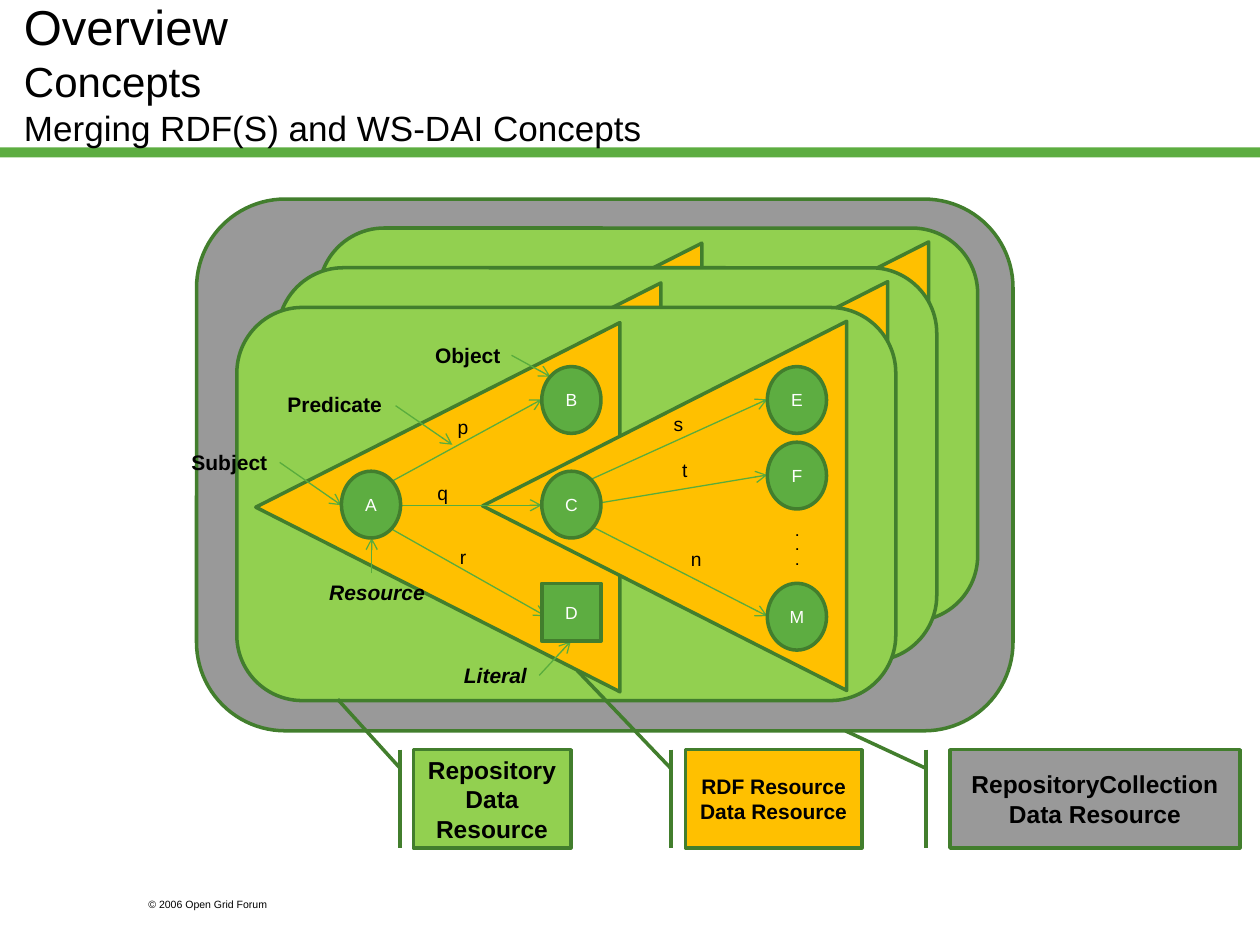
from lxml.etree import SubElement
from pptx import Presentation
from pptx.dml.color import RGBColor
from pptx.enum.shapes import MSO_CONNECTOR, MSO_SHAPE
from pptx.enum.text import MSO_ANCHOR, MSO_AUTO_SIZE, PP_ALIGN
from pptx.oxml.ns import qn
from pptx.util import Inches, Pt

COLORS = {
    "green": "5DAD41", "dark_green": "427E2D", "light_green": "92D050",
    "arrow": "59AC3D", "orange": "FFC000", "gray": "999999",
    "black": "000000", "white": "FFFFFF",
}

presentation = Presentation()
presentation.slide_width = Inches(10)
presentation.slide_height = Inches(7.5)
slide = presentation.slides.add_slide(presentation.slide_layouts[5])


def add_filled(kind, left, top, width, height, fill, outline="dark_green"):
    shape = slide.shapes.add_shape(
        kind, Inches(left), Inches(top), Inches(width), Inches(height))
    shape.shadow.inherit = False
    shape.fill.solid()
    shape.fill.fore_color.rgb = RGBColor.from_string(COLORS[fill])
    if outline:
        shape.line.color.rgb = RGBColor.from_string(COLORS[outline])
        shape.line.width = Pt(2)
    else:
        shape.line.fill.background()
    return shape


def write(shape, lines, size, align, color="black", bold=False, italic=False):
    frame = shape.text_frame
    frame.word_wrap = True
    for index, line in enumerate(lines):
        paragraph = frame.paragraphs[0] if index == 0 else frame.add_paragraph()
        paragraph.alignment = align
        run = paragraph.add_run()
        run.text = line
        run.font.name = "Arial"
        run.font.size = Pt(size)
        run.font.bold = bold
        run.font.italic = italic
        run.font.color.rgb = RGBColor.from_string(COLORS[color])


# Title in three steps of size, above the green rule
title = slide.shapes.title
title.left, title.top = Inches(0.09), Inches(0)
title.width, title.height = Inches(7.67), Inches(1.15)
title.text_frame.auto_size = MSO_AUTO_SIZE.NONE
title.text_frame.vertical_anchor = MSO_ANCHOR.MIDDLE
heading = title.text_frame.paragraphs[0]
heading.alignment = PP_ALIGN.LEFT
for text, size in [("Overview", 28), ("Concepts", 24),
                   ("Merging RDF(S) and WS-DAI Concepts", 20)]:
    run = heading.add_run()
    run.text = text
    run.font.name = "Arial"
    run.font.size = Pt(size)
    run.font.color.rgb = RGBColor.from_string(COLORS["black"])
    if size > 20:
        heading.add_line_break()
        line_break = heading._p.findall(qn("a:br"))[-1]
        SubElement(line_break, qn("a:rPr"), sz=str(size * 100))

rule = add_filled(MSO_SHAPE.RECTANGLE, 0, 1.17, 10, 0.08, "green", None)
slide.shapes._spTree.insert(2, rule._element)  # behind the title

# Collection with three stacked repositories, rearmost first
add_filled(MSO_SHAPE.ROUNDED_RECTANGLE, 1.56, 1.58, 6.48, 4.22, "gray")
for depth in (2, 1, 0):
    shift_x, shift_y = 0.325 * depth, -0.315 * depth
    add_filled(MSO_SHAPE.ROUNDED_RECTANGLE, 1.88 + shift_x, 2.44 + shift_y,
               5.23, 3.12, "light_green")
    for left, top in [(2.01, 2.58), (3.81, 2.57)]:
        triangle = add_filled(MSO_SHAPE.ISOSCELES_TRIANGLE, left + shift_x,
                              top + shift_y, 2.93, 2.89, "orange")
        triangle.rotation = 270

# Callouts: left, width, fill, lines, text size, pointer tip
callout_top, callout_height = 5.95, 0.78
for left, width, fill, lines, size, tip_x, tip_y in [
    (3.28, 1.25, "light_green", ["Repository Data Resource"], 14, 2.68, 5.55),
    (5.44, 1.4, "orange", ["RDF Resource", "Data Resource"], 12, 4.58, 5.32),
    (7.54, 2.3, "gray", ["RepositoryCollection", "Data Resource"], 14, 6.71, 5.8),
]:
    callout = add_filled(MSO_SHAPE.LINE_CALLOUT_1_BORDER_AND_ACCENT_BAR,
                         left, callout_top, width, callout_height, fill)
    callout.adjustments[0] = 0.19
    callout.adjustments[1] = -0.083
    callout.adjustments[2] = (tip_y - callout_top) / callout_height
    callout.adjustments[3] = (tip_x - left) / width
    callout.text_frame.vertical_anchor = MSO_ANCHOR.MIDDLE
    write(callout, lines, size, PP_ALIGN.CENTER, bold=True)

# Arrows: graph edges, then pointers from the terms
for x1, y1, x2, y2 in [
    (3.11, 3.82, 4.3, 3.17), (3.18, 4.01, 4.3, 4.01), (3.11, 4.2, 4.33, 4.89),
    (4.7, 3.8, 6.09, 3.17), (4.77, 3.99, 6.09, 3.77), (4.7, 4.18, 6.09, 4.89),
    (2.22, 3.67, 2.71, 4.01), (4.06, 2.82, 4.37, 2.99), (3.14, 3.22, 3.59, 3.53),
    (2.95, 4.55, 2.95, 4.27), (4.28, 5.36, 4.53, 5.09),
]:
    arrow = slide.shapes.add_connector(
        MSO_CONNECTOR.STRAIGHT, Inches(x1), Inches(y1), Inches(x2), Inches(y2))
    arrow.line.color.rgb = RGBColor.from_string(COLORS["arrow"])
    arrow.line.width = Pt(0.75)
    SubElement(arrow.line._get_or_add_ln(), qn("a:tailEnd"), type="arrow")
    SubElement(arrow._element.spPr, qn("a:effectLst"))

# Graph nodes; the literal D is a rectangle
for name, left, top in [("A", 2.71, 3.74), ("B", 4.3, 2.91), ("C", 4.3, 3.74),
                        ("D", 4.3, 4.63), ("E", 6.09, 2.91), ("F", 6.09, 3.51),
                        ("M", 6.09, 4.63)]:
    kind, height = ((MSO_SHAPE.RECTANGLE, 0.46) if name == "D"
                    else (MSO_SHAPE.OVAL, 0.53))
    node = add_filled(kind, left, top, 0.47, height, "green")
    frame = node.text_frame
    frame.margin_left = frame.margin_right = Inches(0.04)
    frame.margin_top = frame.margin_bottom = Inches(0.04)
    frame.vertical_anchor = MSO_ANCHOR.MIDDLE
    write(node, [name], 10, PP_ALIGN.CENTER, "white")

# Labels: lines, left, top, width, height, size, alignment, bold, italic
edge_style = (0.31, 0.29, 11, PP_ALIGN.CENTER, False, False)
role_style = (0.94, 0.3, 12, PP_ALIGN.RIGHT, True, False)
type_style = (1.05, 0.3, 12, PP_ALIGN.RIGHT, True, True)
for lines, left, top, style in [
    (["p"], 3.52, 3.25, edge_style), (["q"], 3.36, 3.77, edge_style),
    (["r"], 3.52, 4.28, edge_style), (["s"], 5.23, 3.22, edge_style),
    (["t"], 5.28, 3.59, edge_style), (["n"], 5.37, 4.29, edge_style),
    (["Subject"], 1.28, 3.52, role_style),
    (["Object"], 3.13, 2.67, role_style),
    (["Predicate"], 2.03, 3.06, (1.1,) + role_style[1:]),
    (["Resource"], 2.42, 4.55, type_style),
    (["Literal"], 3.23, 5.21, type_style),
    ([".", ".", "."], 6.21, 4.11, (0.23, 0.45, 7, PP_ALIGN.RIGHT, True, False)),
    (["© 2006 Open Grid Forum"], 1.08, 7.08,
     (1.5, 0.2, 6, PP_ALIGN.LEFT, False, False)),
]:
    width, height, size, align, bold, italic = style
    label = slide.shapes.add_textbox(
        Inches(left), Inches(top), Inches(width), Inches(height))
    write(label, lines, size, align, bold=bold, italic=italic)

presentation.save("out.pptx")
